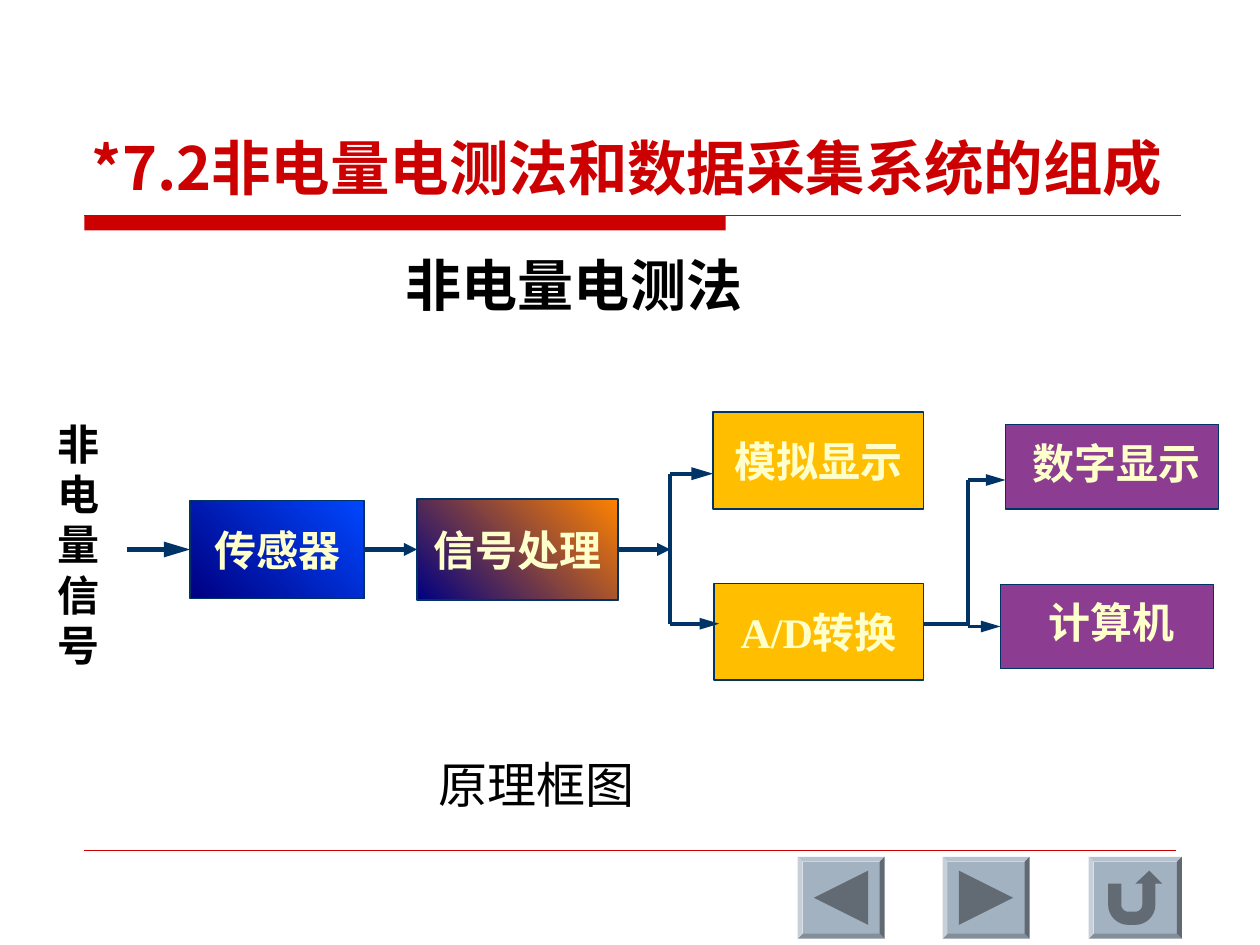
import math
from lxml import etree
from pptx import Presentation
from pptx.dml.color import RGBColor
from pptx.enum.shapes import MSO_CONNECTOR, MSO_SHAPE
from pptx.enum.text import MSO_ANCHOR, MSO_AUTO_SIZE, PP_ALIGN
from pptx.oxml.ns import qn
from pptx.util import Pt

LEFT, CENTER = PP_ALIGN.LEFT, PP_ALIGN.CENTER
MIDDLE, BOTTOM, TOP = MSO_ANCHOR.MIDDLE, MSO_ANCHOR.BOTTOM, MSO_ANCHOR.TOP
STRAIGHT = MSO_CONNECTOR.STRAIGHT
SIDE_LEFT, SIDE_RIGHT = 1, 3

THEME = {
    "red": "CC0000", "black": "000000", "navy": "003366", "cream": "FFFFCC",
    "blue": ("0047FF", "000082"), "orange": ("FF8200", "000082"),
    "amber": "FFBF00", "purple": "8C3D91", "button": "A3B2C1", "icon": "626B74",
    "shadow": "C0C0C0",
    "sans": "Noto Sans CJK SC", "serif": "Times New Roman", "caption": "DejaVu Sans",
    "title_size": 34, "heading_size": 32, "caption_size": 28, "label_size": 24,
}

# Boxes are left, top, width, height; insets are left, top, right, bottom.
TITLE = ("*7.2非电量电测法和数据采集系统的组成", (45.36, 23.76, 630, 95.76))
TEXTS = [
    # text, box, insets, format
    ("非电量电测法", (76.3, 139.7, 481.7, 46), (29, 3.6, 7.2, 3.6),
     {"font": "sans", "size": "heading_size", "bold": True, "align": CENTER, "shadow": True}),
    ("非电量信号", (17.3, 235.4, 55.4, 151.2), (7.2, 3.6, 7.2, 3.6),
     {"font": "serif", "size": "label_size", "bold": True, "align": CENTER}),
    ("原理框图", (243.4, 427.7, 170, 41), (7.2, 3.6, 7.2, 3.6),
     {"font": "caption", "size": "caption_size", "bold": False, "align": LEFT}),
]
PLAIN, RAISED = (0, 0, 0, 0), (5, 0, 0, 5)
BLOCKS = {
    # text, box, fill, font, insets
    "sensor": ("传感器", (108.7, 286, 99.4, 56), "blue", "serif", PLAIN),
    "processing": ("信号处理", (238.3, 285, 115, 58), "orange", "serif", PLAIN),
    "analog": ("模拟显示", (407.5, 235.4, 120.2, 55.4), "amber", "serif", PLAIN),
    "converter": ("A/D转换", (408, 333.4, 119.7, 55.4), "amber", "serif", PLAIN),
    "digital": ("数字显示", (574.6, 242.6, 121.7, 48.2), "purple", "sans", RAISED),
    "computer": ("计算机", (571.7, 334, 121.7, 48), "purple", "sans", RAISED),
}
AXIS, FORK, RISER = 314, 383, 553
ANALOG_Y, CONVERTER_Y, DIGITAL_Y, COMPUTER_Y = 270.7, 356.4, 274.3, 358
LINKS = [
    # start, end, width, arrowhead length, block joined at start, block joined at end
    ((72.7, AXIS), (108.7, AXIS), 3, "lg", None, "sensor"),
    ((208.1, AXIS), (238.3, AXIS), 2.5, "med", "sensor", "processing"),
    ((353.3, AXIS), (FORK, AXIS), 2.5, "med", "processing", None),
    ((FORK, ANALOG_Y), (FORK, CONVERTER_Y), 2.25, None, None, None),
    ((FORK, ANALOG_Y), (407.5, ANALOG_Y), 2.5, "lg", None, None),
    ((FORK, CONVERTER_Y), (411, CONVERTER_Y), 2.25, "lg", None, None),
    ((527.7, CONVERTER_Y), (RISER, CONVERTER_Y), 2.25, None, None, None),
    ((RISER, DIGITAL_Y), (RISER, COMPUTER_Y), 2.25, None, None, None),
    ((RISER, DIGITAL_Y), (574.6, DIGITAL_Y), 2.25, "lg", None, None),
    ((RISER, COMPUTER_Y), (571.7, COMPUTER_Y), 2.25, "lg", None, "computer"),
]
RULES = [((48.2, 123.1), (674.6, 123.1), 0.75), ((48.2, 486), (671.8, 486), 0.25)]
TITLE_BAR = (48.2, 123.1, 366.5, 8.6)


def arc(x, y, radius, start, end):
    angles = [math.radians(start + (end - start) * step / 8) for step in range(9)]
    return [(x + radius * math.cos(a), y + radius * math.sin(a)) for a in angles]


RETURN_ICON = [
    (-15.5, -8), (-8, -8), *arc(-4, 4, 4, 180, 90), *arc(0, 4, 4, 90, 0),
    (4, -8), (0, -8), (8, -15.5), (15.5, -8), (11.5, -8),
    *arc(0, 4, 11.5, 0, 90), *arc(-4, 4, 11.5, 90, 180)]
BUTTONS = [
    # left, width, icon outline around the button centre
    (455.8, 49.7, [(-15.5, 0), (15.5, -15.5), (15.5, 15.5)]),
    (538.6, 49.7, [(-15.5, -15.5), (15.5, 0), (-15.5, 15.5)]),
    (622.1, 53.3, RETURN_ICON),
]
BUTTON_TOP, BUTTON_HEIGHT = 489.6, 46.8


def rgb(name):
    return RGBColor.from_string(THEME[name])


def points(values):
    return [Pt(value) for value in values]


def set_values(target, values):
    for name, value in values.items():
        setattr(target, name, value)


def write(frame, text, font, size, color, bold, align, anchor, insets, wrap=True, shadow=False):
    left, top, right, bottom = points(insets)
    set_values(frame, {
        "word_wrap": wrap, "auto_size": MSO_AUTO_SIZE.NONE, "vertical_anchor": anchor,
        "margin_left": left, "margin_top": top, "margin_right": right, "margin_bottom": bottom})
    para = frame.paragraphs[0]
    para.alignment = align
    span = para.add_run()
    span.text = text
    set_values(span.font, {"size": Pt(THEME[size]), "bold": bold})
    span.font.color.rgb = rgb(color)
    properties = span.font._element
    if shadow:
        effects = etree.SubElement(properties, qn("a:effectLst"))
        outer = etree.SubElement(effects, qn("a:outerShdw"), dist="25400", dir="2700000")
        etree.SubElement(outer, qn("a:srgbClr"), val=THEME["shadow"])
    span.font.name = THEME[font]
    east_asian = THEME["sans"] if font == "serif" else THEME[font]
    etree.SubElement(properties, qn("a:ea"), typeface=east_asian)


def paint(shape, fill, line=None):
    shape.shadow.inherit = False
    if isinstance(THEME[fill], tuple):
        shape.fill.gradient()
        shape.fill.gradient_angle = 225
        for stop, color in zip(shape.fill.gradient_stops, THEME[fill]):
            stop.color.rgb = RGBColor.from_string(color)
    else:
        shape.fill.solid()
        shape.fill.fore_color.rgb = rgb(fill)
    if line:
        shape.line.color.rgb = rgb(line)
        shape.line.width = Pt(1)
    else:
        shape.line.fill.background()


def add_line(shapes, start, end, width, color, head=None):
    line = shapes.add_connector(STRAIGHT, *points(start + end))
    line.line.color.rgb = rgb(color)
    line.line.width = Pt(width)
    if head:
        etree.SubElement(line.line._get_or_add_ln(), qn("a:tailEnd"),
                         type="triangle", w="med", len=head)
    etree.SubElement(line._element.spPr, qn("a:effectLst"))
    return line


def add_button(shapes, left, width, outline):
    frame = shapes.add_shape(
        MSO_SHAPE.BEVEL, *points((left, BUTTON_TOP, width, BUTTON_HEIGHT)))
    frame.adjustments[0] = 0.06
    paint(frame, "button")
    center_x, center_y = left + width / 2, BUTTON_TOP + BUTTON_HEIGHT / 2
    corners = [points((center_x + x, center_y + y)) for x, y in outline]
    builder = shapes.build_freeform(*corners[0])
    builder.add_line_segments(corners[1:], close=True)
    paint(builder.convert_to_shape(), "icon")


def main():
    deck = Presentation()
    deck.slide_width, deck.slide_height = Pt(720), Pt(540)
    slide = deck.slides.add_slide(deck.slide_layouts[5])
    shapes = slide.shapes

    text, box = TITLE
    title = shapes.title
    set_values(title, dict(zip(("left", "top", "width", "height"), points(box))))
    write(title.text_frame, text, "sans", "title_size", "red", True, LEFT, BOTTOM,
          (7.2, 3.6, 7.2, 3.6))

    paint(shapes.add_shape(MSO_SHAPE.RECTANGLE, *points(TITLE_BAR)), "red")
    for start, end, width in RULES:
        add_line(shapes, start, end, width, "red")

    for text, box, insets, style in TEXTS:
        frame = shapes.add_textbox(*points(box)).text_frame
        write(frame, text, color="black", anchor=TOP, insets=insets, **style)

    blocks = {}
    for name, (text, box, fill, font, insets) in BLOCKS.items():
        block = shapes.add_shape(MSO_SHAPE.RECTANGLE, *points(box))
        paint(block, fill, "navy")
        write(block.text_frame, text, font, "label_size", "cream", True, CENTER, MIDDLE,
              insets, wrap=False)
        blocks[name] = block

    for start, end, width, head, source, target in LINKS:
        link = add_line(shapes, start, end, width, "navy", head)
        if source:
            link.begin_connect(blocks[source], SIDE_RIGHT)
        if target:
            link.end_connect(blocks[target], SIDE_LEFT)

    for button in BUTTONS:
        add_button(shapes, *button)
    deck.save("out.pptx")


if __name__ == "__main__":
    main()
